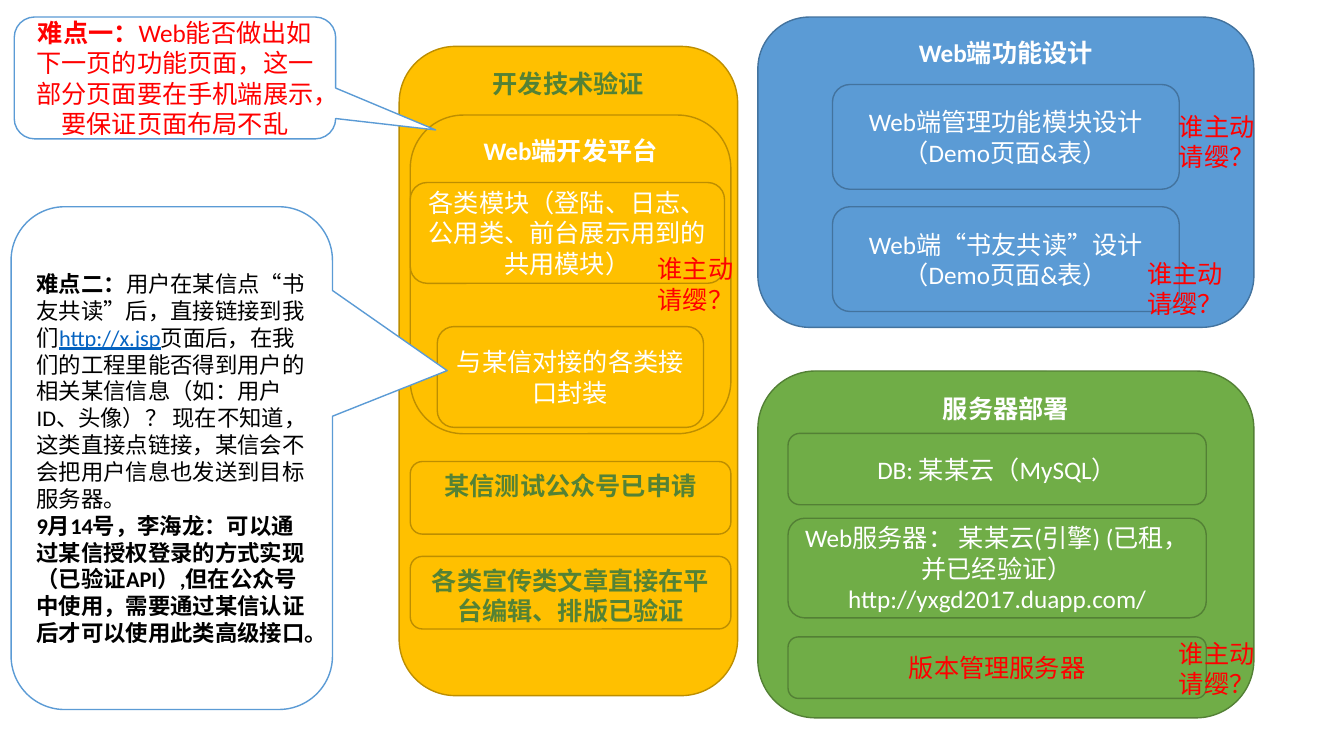
import pptx
import pptx.dml.color
import pptx.enum.shapes
import pptx.enum.text
import pptx.util

Cm = pptx.util.Cm
Pt = pptx.util.Pt
SHAPES = pptx.enum.shapes.MSO_SHAPE
ANCHOR = pptx.enum.text.MSO_ANCHOR
ALIGN = pptx.enum.text.PP_ALIGN

COLORS = {
    "white": "FFFFFF", "black": "000000", "red": "FF0000", "link": "0563C1",
    "blue": "5B9BD5", "blue_edge": "43739E",
    "gold": "FFC000", "gold_edge": "BD8E00",
    "green": "70AD47", "green_edge": "538035", "dark_green": "548235",
}


def rgb(name):
    return pptx.dml.color.RGBColor.from_string(COLORS[name])


def add_run(paragraph, text, color, size=18, bold=False, underline=False):
    run = paragraph.add_run()
    run.text = text
    run.font.name = "Calibri"
    run.font.size = Pt(size)
    run.font.bold = bold
    run.font.underline = underline
    run.font.color.rgb = rgb(color)


def add_paragraphs(text_frame, paragraphs, align=ALIGN.CENTER):
    """Write paragraphs, each a list of (text, color, options) runs."""
    for index, runs in enumerate(paragraphs):
        paragraph = text_frame.paragraphs[0] if index == 0 else text_frame.add_paragraph()
        paragraph.alignment = align
        for text, color, options in runs:
            add_run(paragraph, text, color, **options)


def add_outlined(slide, kind, box, fill, edge, anchor):
    shape = slide.shapes.add_shape(kind, *map(Cm, box))
    shape.shadow.inherit = False
    shape.fill.solid()
    shape.fill.fore_color.rgb = rgb(fill)
    shape.line.color.rgb = rgb(edge)
    shape.line.width = Pt(1)
    shape.text_frame.word_wrap = True
    shape.text_frame.vertical_anchor = anchor
    return shape


def add_box(slide, box, theme, lines, color="white", bold=False, anchor=ANCHOR.MIDDLE):
    shape = add_outlined(slide, SHAPES.ROUNDED_RECTANGLE, box, theme, theme + "_edge", anchor)
    add_paragraphs(shape.text_frame, [[(line, color, {"bold": bold})] for line in lines])


def add_panel(slide, box, theme, title, color="white"):
    """Add a rounded box with a bold title at its top."""
    add_box(slide, box, theme, [title], color, bold=True, anchor=ANCHOR.TOP)


def add_callout(slide, box, tip, paragraphs, align):
    shape = add_outlined(slide, SHAPES.ROUNDED_RECTANGULAR_CALLOUT, box, "white", "blue",
                         ANCHOR.MIDDLE)
    shape.adjustments[0], shape.adjustments[1] = tip
    add_paragraphs(shape.text_frame, paragraphs, align)


def add_volunteer_note(slide, left, top):
    note = slide.shapes.add_textbox(Cm(left), Cm(top), Cm(2.44), Cm(1.8))
    note.text_frame.word_wrap = False
    add_paragraphs(note.text_frame, [[(line, "red", {})] for line in ("谁主动", "请缨？")])


def add_web_design(slide):
    add_panel(slide, (19.1, 0.43, 12.5, 7.82), "blue", "Web端功能设计")
    for top, title in ((2.13, "Web端管理功能模块设计"), (5.21, "Web端“书友共读”设计")):
        add_box(slide, (20.98, top, 8.74, 2.64), "blue", [title, "（Demo页面&表）"])


def add_verification(slide):
    add_panel(slide, (10.06, 1.17, 8.53, 16.36), "gold", "开发技术验证", "dark_green")
    add_panel(slide, (10.34, 2.9, 8.08, 8.03), "gold", "Web端开发平台")
    add_box(slide, (10.34, 4.6, 7.92, 2.54), "gold",
            ["各类模块（登陆、日志、公用类、前台展示用到的共用模块）"])
    add_box(slide, (11.02, 8.23, 6.71, 2.54), "gold", ["与某信对接的各类接口封装"])
    for top, title in ((11.63, "某信测试公众号已申请"),
                       (14.02, "各类宣传类文章直接在平台编辑、排版已验证")):
        add_panel(slide, (10.34, top, 8.08, 1.83), "gold", title, "dark_green")


def add_deployment(slide):
    add_panel(slide, (19.1, 9.35, 12.5, 8.74), "green", "服务器部署")
    for top, height, lines, color in (
        (10.92, 1.8, ["DB: 某某云（MySQL）"], "white"),
        (13.06, 2.51, ["Web服务器： 某某云(引擎) (已租，并已经验证）",
                       "http://yxgd2017.duapp.com/"], "white"),
        (16.05, 1.55, ["版本管理服务器"], "red"),
    ):
        add_box(slide, (19.86, top, 10.54, height), "green", lines, color)


def add_difficulties(slide):
    plain = {"size": 16}
    strong = {"size": 16, "bold": True}
    add_callout(slide, (0.28, 5.21, 8.1, 12.67), (0.857, -0.174), [
        [("难点二：", "black", strong),
         ("用户在某信点“书友共读”后，直接链接到我们", "black", plain),
         ("http://x.jsp", "link", {"size": 16, "underline": True}),
         ("页面后，在我们的工程里能否得到用户的相关某信信息（如：用户ID、头像）？ "
          "现在不知道，这类直接点链接，某信会不会把用户信息也发送到目标服务器。", "black", plain)],
        [("9月14号，李海龙：可以通过某信授权登录的方式实现（已验证API）,但在公众号中使用，"
          "需要通过某信认证后才可以使用此类高级接口。", "black", strong)],
    ], ALIGN.LEFT)
    add_callout(slide, (0.36, 0.43, 8.1, 3.07), (0.811, 0.427), [
        [("难点一：", "red", {"bold": True}),
         ("Web能否做出如下一页的功能页面，这一部分页面要在手机端展示，要保证页面布局不乱",
          "red", {})],
    ], ALIGN.CENTER)


def main():
    presentation = pptx.Presentation()
    presentation.slide_width = Cm(33.87)
    presentation.slide_height = Cm(19.05)
    slide = presentation.slides.add_slide(presentation.slide_layouts[6])

    add_web_design(slide)
    add_verification(slide)
    add_deployment(slide)
    add_difficulties(slide)
    for left, top in ((29.44, 15.95), (29.44, 2.67), (28.65, 6.38), (16.31, 6.27)):
        add_volunteer_note(slide, left, top)

    presentation.save("out.pptx")


if __name__ == "__main__":
    main()
